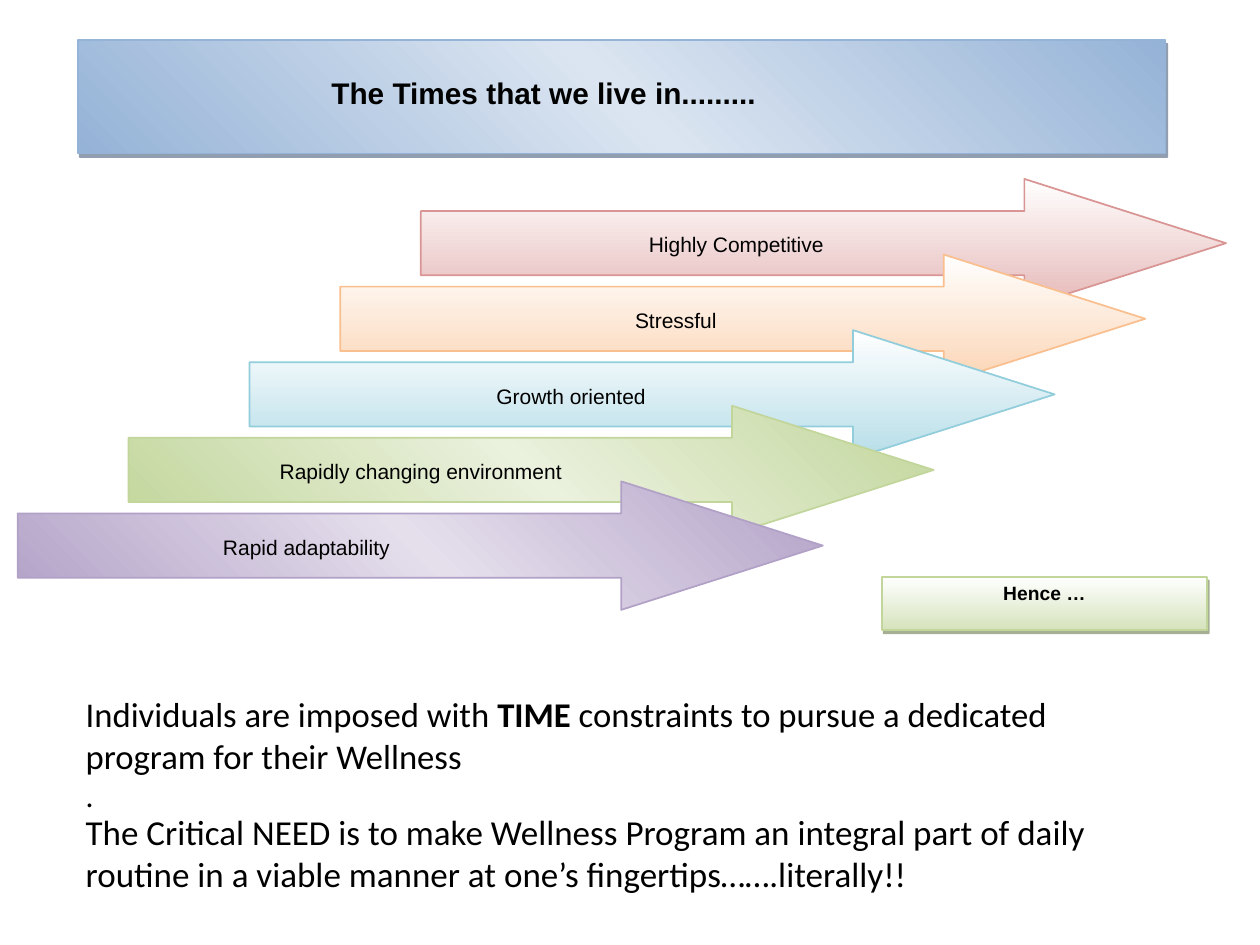
from pptx import Presentation
from pptx.dml.color import RGBColor
from pptx.enum.shapes import MSO_SHAPE
from pptx.enum.text import MSO_ANCHOR, PP_ALIGN
from pptx.oxml import parse_xml
from pptx.oxml.ns import nsdecls, qn
from pptx.util import Inches, Pt

RECTANGLE, RIGHT_ARROW = MSO_SHAPE.RECTANGLE, MSO_SHAPE.RIGHT_ARROW
LEFT, CENTER = PP_ALIGN.LEFT, PP_ALIGN.CENTER
TOP = MSO_ANCHOR.TOP

BLACK = RGBColor(0x00, 0x00, 0x00)
WHITE = RGBColor(0xFF, 0xFF, 0xFF)
BLUE = RGBColor(0x95, 0xB3, 0xD7)
PALE_BLUE = RGBColor(0xDB, 0xE5, 0xF1)
NAVY = RGBColor(0x24, 0x3F, 0x60)
RED = RGBColor(0xD9, 0x95, 0x94)
PALE_RED = RGBColor(0xE5, 0xB8, 0xB7)
ORANGE = RGBColor(0xFA, 0xBF, 0x8F)
PALE_ORANGE = RGBColor(0xFB, 0xD4, 0xB4)
AQUA = RGBColor(0x92, 0xCD, 0xDC)
PALE_AQUA = RGBColor(0xB6, 0xDD, 0xE8)
GREEN = RGBColor(0xC2, 0xD6, 0x9B)
PALE_GREEN = RGBColor(0xEA, 0xF1, 0xDD)
SOFT_GREEN = RGBColor(0xD6, 0xE3, 0xBC)
DARK_GREEN = RGBColor(0x4E, 0x61, 0x28)
PURPLE = RGBColor(0xB2, 0xA1, 0xC7)
PALE_PURPLE = RGBColor(0xE5, 0xDF, 0xEC)

# Arrow staircase
ARROW_WIDTH, ARROW_HEIGHT, HEAD_LENGTH = 6.39, 1.02, 1.6
ARROW_TOP, ARROW_STEP, LABEL_DROP = 1.42, 0.6, 0.42
DOWN, DIAGONAL = 90, 315

# Arrow left, label left, label, gradient colours, angle, outline
ARROWS = [
    (3.34, 5.15, "Highly Competitive", (WHITE, PALE_RED), DOWN, RED),
    (2.7, 5.04, "Stressful", (WHITE, PALE_ORANGE), DOWN, ORANGE),
    (1.98, 3.94, "Growth oriented", (WHITE, PALE_AQUA), DOWN, AQUA),
    (1.02, 2.22, "Rapidly changing environment", (GREEN, PALE_GREEN, GREEN), DIAGONAL, GREEN),
    (0.14, 1.77, "Rapid adaptability", (PURPLE, PALE_PURPLE, PURPLE), DIAGONAL, PURPLE),
]


def write(paragraph, text, size=12, bold=False, font="Arial", color=BLACK):
    run = paragraph.add_run()
    run.text = text
    run.font.name = font
    run.font.size = Pt(size)
    run.font.bold = bold
    run.font.color.rgb = color


class SlideBuilder:
    def __init__(self, slide):
        self.slide = slide
        self.line_width = Pt(1)

    def shape(self, kind, left, top, width, height, colors, angle, outline, shadow=None):
        shape = self.slide.shapes.add_shape(
            kind, Inches(left), Inches(top), Inches(width), Inches(height))
        shape.line.color.rgb = outline
        shape.line.width = self.line_width
        shape.shadow.inherit = False
        properties = shape._element.spPr
        last = len(colors) - 1
        stops = "".join(
            f'<a:gs pos="{100000 * index // last}"><a:srgbClr val="{color}"/></a:gs>'
            for index, color in enumerate(colors))
        properties.find(qn("a:prstGeom")).addnext(parse_xml(
            f'<a:gradFill {nsdecls("a")} rotWithShape="1"><a:gsLst>{stops}</a:gsLst>'
            f'<a:lin ang="{angle * 60000}" scaled="1"/></a:gradFill>'))
        if shadow is not None:
            properties.find(qn("a:effectLst")).append(parse_xml(
                f'<a:outerShdw {nsdecls("a")} dist="{Pt(2.2)}" dir="{63 * 60000}" '
                f'algn="ctr" rotWithShape="0"><a:srgbClr val="{shadow}">'
                '<a:alpha val="50000"/></a:srgbClr></a:outerShdw>'))
        return shape

    def arrow(self, left, top, colors, angle, outline):
        arrow = self.shape(RIGHT_ARROW, left, top, ARROW_WIDTH, ARROW_HEIGHT,
                           colors, angle, outline)
        arrow.adjustments[0] = 0.5
        arrow.adjustments[1] = HEAD_LENGTH / ARROW_HEIGHT

    def text(self, left, top, width, height, paragraphs):
        """Each paragraph is a list of (text, format) runs."""
        box = self.slide.shapes.add_textbox(
            Inches(left), Inches(top), Inches(width), Inches(height))
        frame = box.text_frame
        frame.word_wrap = True
        frame.margin_left = frame.margin_right = 0
        frame.margin_top = frame.margin_bottom = 0
        for index, runs in enumerate(paragraphs):
            paragraph = frame.add_paragraph() if index else frame.paragraphs[0]
            paragraph.alignment = LEFT
            for text, style in runs:
                write(paragraph, text, **style)

    def callout(self, text, left, top, width, height, colors, outline, shadow):
        shape = self.shape(RECTANGLE, left, top, width, height, colors, DOWN, outline, shadow)
        frame = shape.text_frame
        frame.vertical_anchor = TOP
        frame.margin_left = frame.margin_right = Inches(0.06)
        frame.margin_top = frame.margin_bottom = Inches(0.03)
        paragraph = frame.paragraphs[0]
        paragraph.alignment = CENTER
        paragraph.space_after = Pt(10)
        write(paragraph, text, size=11, bold=True)


def main():
    presentation = Presentation()
    presentation.slide_width = Inches(10)
    presentation.slide_height = Inches(7.5)
    builder = SlideBuilder(presentation.slides.add_slide(presentation.slide_layouts[6]))

    # Closing statements
    body = {"font": "Calibri", "size": 19.8}
    builder.text(0.68, 5.5, 8.38, 0.97, [
        [("Individuals are imposed with ", body),
         ("TIME ", {**body, "bold": True}),
         ("constraints to pursue a dedicated program for their Wellness", body)],
        [(".", {**body, "size": 18})],
    ])
    builder.text(0.68, 6.43, 8.38, 0.7, [
        [("The Critical NEED is to make Wellness Program an integral part of daily "
          "routine in a viable manner at one’s fingertips…….literally!!",
          {**body, "size": 20})],
    ])

    # Title banner
    builder.shape(RECTANGLE, 0.62, 0.32, 8.63, 0.9, (BLUE, PALE_BLUE, BLUE),
                  DIAGONAL, BLUE, NAVY)
    builder.text(2.63, 0.59, 4.28, 0.38,
                 [[("The Times that we live in.........", {"size": 17, "bold": True})]])

    # Arrows stepping down to the left
    for index, (left, label_left, label, colors, angle, outline) in enumerate(ARROWS):
        top = ARROW_TOP + index * ARROW_STEP
        builder.arrow(left, top, colors, angle, outline)
        builder.text(label_left, top + LABEL_DROP, 2.6, 0.25, [[(label, {})]])

    # Conclusion box
    builder.callout("Hence …", 7, 4.58, 2.58, 0.42, (WHITE, SOFT_GREEN), GREEN, DARK_GREEN)

    presentation.save("out.pptx")


if __name__ == "__main__":
    main()
